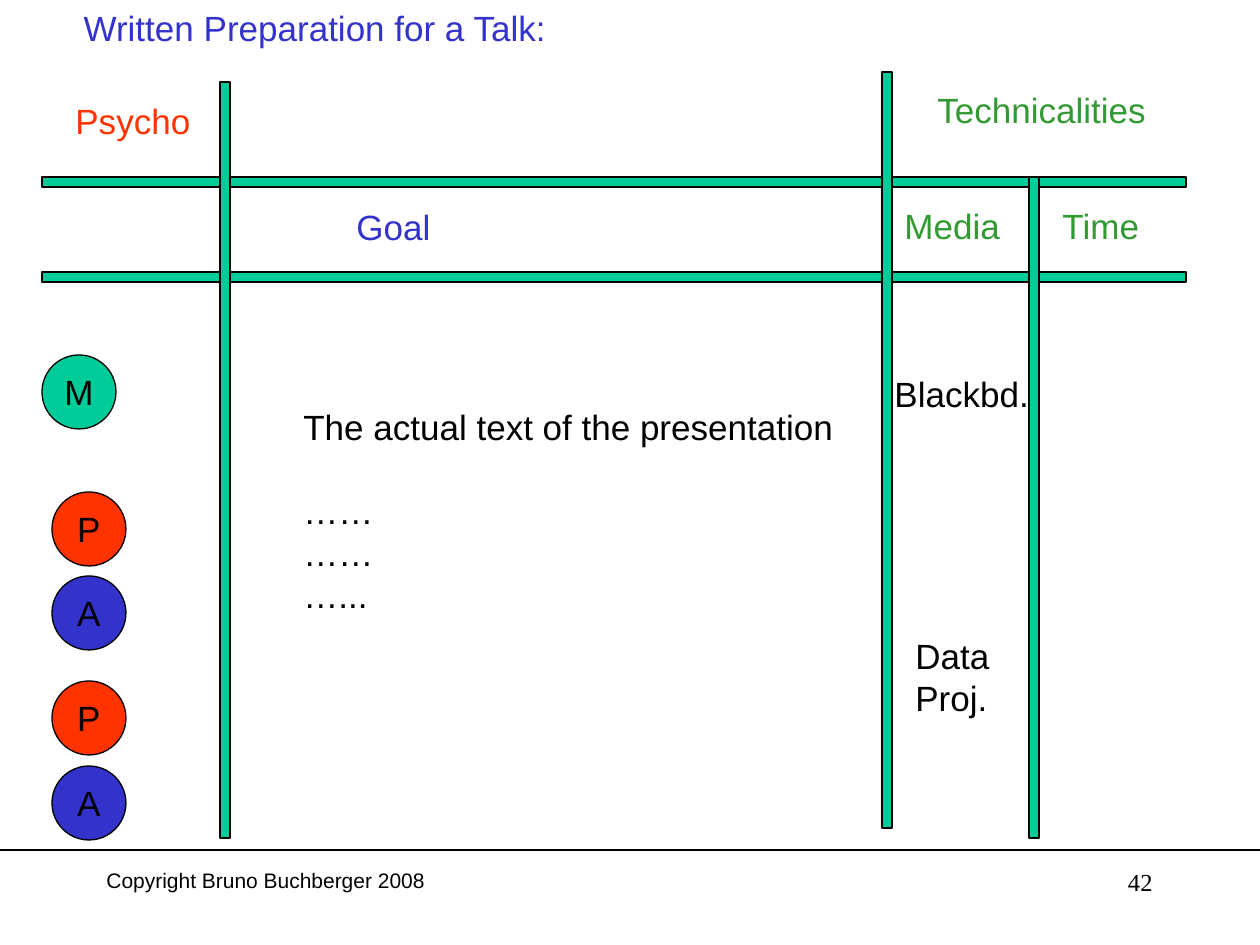
from dataclasses import dataclass
from pptx import Presentation
from pptx.dml.color import RGBColor
from pptx.enum.shapes import MSO_CONNECTOR, MSO_SHAPE
from pptx.enum.text import MSO_ANCHOR, MSO_AUTO_SIZE, PP_ALIGN
from pptx.oxml.ns import qn
from pptx.util import Emu, Pt

LINE = MSO_CONNECTOR.STRAIGHT
RECT, OVAL = MSO_SHAPE.RECTANGLE, MSO_SHAPE.OVAL
TOP, MIDDLE = MSO_ANCHOR.TOP, MSO_ANCHOR.MIDDLE
FIXED = MSO_AUTO_SIZE.NONE
LEFT, CENTER, RIGHT = PP_ALIGN.LEFT, PP_ALIGN.CENTER, PP_ALIGN.RIGHT


@dataclass
class Theme:
    black: str = "000000"
    blue: str = "3333CC"
    red: str = "FF3300"
    green: str = "339933"
    teal: str = "00CC99"
    sans: str = "Arial"
    serif: str = "Times New Roman"
    body: int = 20
    page: int = 14
    foot: int = 12
    rule: float = 0.75


theme = Theme()


def px(*sizes):
    return [Emu(round(size * 914400 / 126)) for size in sizes]


def write(shape, text, color, size=theme.body, font=theme.sans,
          align=LEFT, anchor=TOP, wrap=False):
    frame = shape.text_frame
    frame.text = text
    frame.word_wrap = wrap
    frame.auto_size = FIXED
    frame.vertical_anchor = anchor
    for para in frame.paragraphs:
        para.alignment = align
        for run in para.runs:
            run.font.size = Pt(size)
            run.font.name = font
            run.font.color.rgb = RGBColor.from_string(color)


deck = Presentation()
deck.slide_width, deck.slide_height = px(1260, 945)
slide = deck.slides.add_slide(deck.slide_layouts[5])
shapes = slide.shapes

title = shapes.title
title.left, title.top, title.width, title.height = px(71, 0, 493, 55)
write(title, "Written Preparation for a Talk:", theme.blue)

rule = shapes.add_connector(LINE, *px(0, 850, 1292, 850))
rule.line.color.rgb = RGBColor.from_string(theme.black)
rule.line.width = Pt(theme.rule)
rule._element.spPr.append(rule._element.makeelement(qn("a:effectLst"), {}))

bar = 10
bars = [(42, top, 1144, bar) for top in (177, 272)]
bars += [(220, 82, bar, 756), (882, 72, bar, 756), (1029, 177, bar, 661)]
marks = [(42, 355, "M", theme.teal), (52, 492, "P", theme.red),
         (52, 576, "A", theme.blue), (52, 681, "P", theme.red),
         (52, 766, "A", theme.blue)]
forms = [(RECT, box, "", theme.teal) for box in bars]
forms += [(OVAL, (left, top, 74, 74), text, fill)
          for left, top, text, fill in marks]
for kind, box, text, fill in forms:
    shape = shapes.add_shape(kind, *px(*box))
    shape.shadow.inherit = False
    shape.fill.solid()
    shape.fill.fore_color.rgb = RGBColor.from_string(fill)
    shape.line.color.rgb = RGBColor.from_string(theme.black)
    shape.line.width = Pt(theme.rule)
    if text:
        write(shape, text, theme.black, align=CENTER, anchor=MIDDLE)

labels = [
    ((63, 93, 140, 55), "Psycho", theme.red),
    ((344, 199, 100, 55), "Goal", theme.blue),
    ((925, 82, 237, 55), "Technicalities", theme.green),
    ((892, 198, 147, 55), "Media", theme.green),
    ((1050, 198, 147, 55), "Time", theme.green),
    ((882, 366, 160, 55), "Blackbd.", theme.black),
    ((903, 628, 100, 97), "Data\nProj.", theme.black),
]
for box, text, color in labels:
    write(shapes.add_textbox(*px(*box)), text, color, wrap=color == theme.green)

talk = shapes.add_textbox(*px(291, 399, 556, 223))
write(talk, "The actual text of the presentation\n……\n……\n…...", theme.black)
talk.text_frame.paragraphs[1].space_before = Pt(24)

foot = shapes.add_textbox(*px(94, 861, 344, 38))
write(foot, "Copyright Bruno Buchberger 2008", theme.black, theme.foot)
page = shapes.add_textbox(*px(903, 861, 262, 63))
write(page, "42", theme.black, theme.page, theme.serif, RIGHT, wrap=True)

deck.save("out.pptx")
